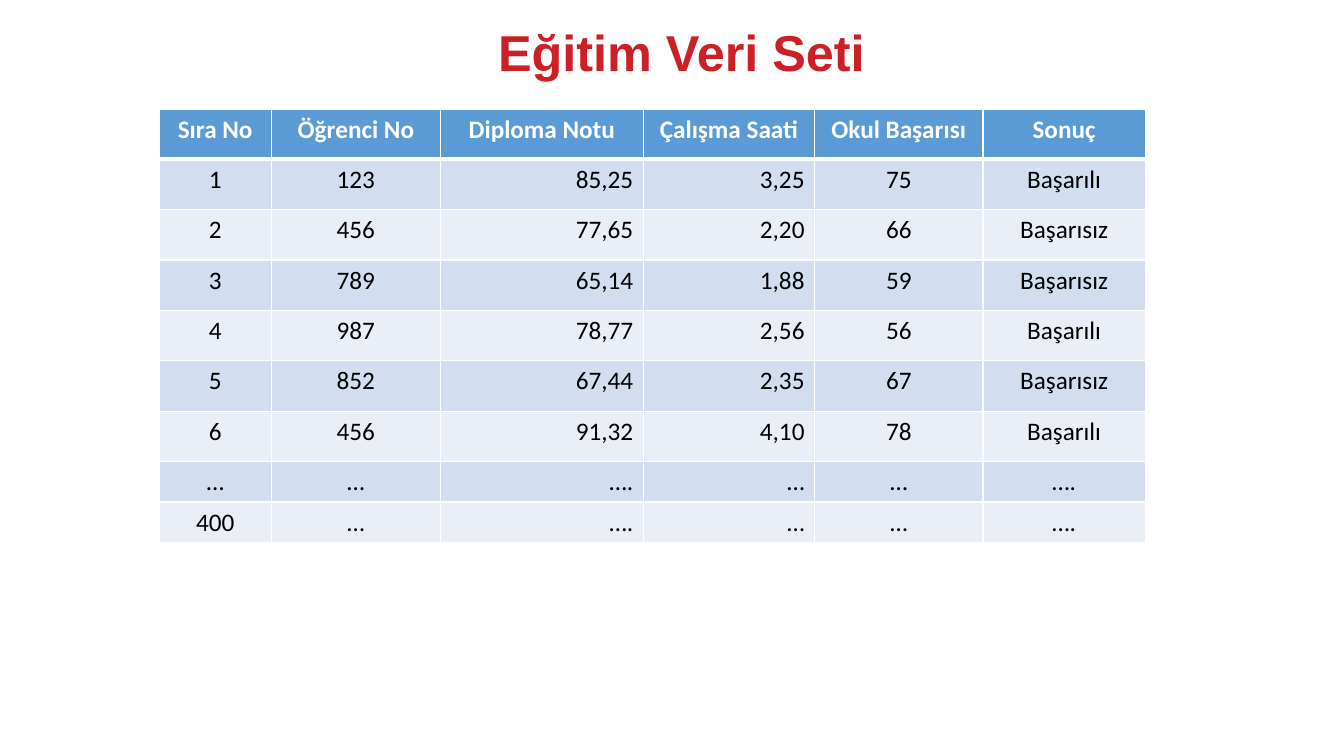
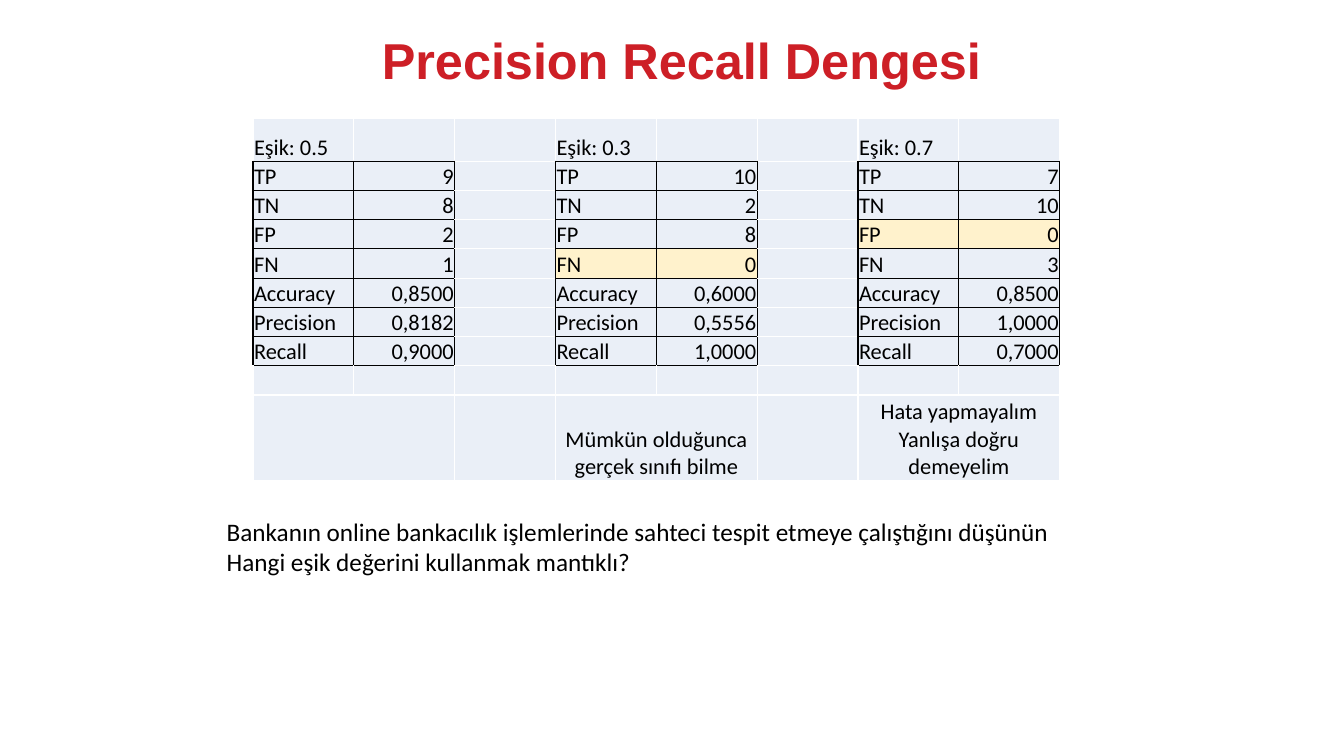
"""Build two slides: a training data table and a precision-recall comparison."""
from lxml.etree import SubElement
from pptx import Presentation
from pptx.dml.color import RGBColor
from pptx.enum.text import MSO_ANCHOR as ANCHOR, PP_ALIGN as ALIGN
from pptx.oxml.ns import qn
from pptx.util import Inches, Pt


class Theme:
    HEAD_FONT, BODY_FONT = "Arial", "Calibri"
    TITLE, BODY, SMALL = 36, 18, 16
    RED, BLACK, WHITE = "CD1F26", "000000", "FFFFFF"
    HEADER, BAND, PALE, MARK = "5B9BD5", "D2DEEF", "EAEFF7", "FFF2CC"
    THIN, THICK = 1, 3


LEFT, CENTER, RIGHT = ALIGN.LEFT, ALIGN.CENTER, ALIGN.RIGHT

DATA_TITLE = "Eğitim Veri Seti"
DATA_COLUMNS = [
    ("Sıra No", 1.11, CENTER),
    ("Öğrenci No", 1.68, CENTER),
    ("Diploma Notu", 2.01, RIGHT),
    ("Çalışma Saati", 1.7, RIGHT),
    ("Okul Başarısı", 1.67, CENTER),
    ("Sonuç", 1.61, CENTER),
]
STUDENTS = [
    ("1", "123", "85,25", "3,25", "75", "Başarılı"),
    ("2", "456", "77,65", "2,20", "66", "Başarısız"),
    ("3", "789", "65,14", "1,88", "59", "Başarısız"),
    ("4", "987", "78,77", "2,56", "56", "Başarılı"),
    ("5", "852", "67,44", "2,35", "67", "Başarısız"),
    ("6", "456", "91,32", "4,10", "78", "Başarılı"),
    ("…", "…", "….", "…", "…", "…."),
    ("400", "…", "….", "…", "…", "…."),
]
DATA_HEIGHTS = [0.49] + [0.5] * 6 + [0.4] * 2

BALANCE_TITLE = "Precision Recall Dengesi"
METRICS = ["TP", "TN", "FP", "FN", "Accuracy", "Precision", "Recall"]
THRESHOLDS = [
    {"name": "Eşik: 0.5", "mark": None, "note": "",
     "values": ["9", "8", "2", "1", "0,8500", "0,8182", "0,9000"]},
    {"name": "Eşik: 0.3", "mark": "FN",
     "note": "Mümkün olduğunca\ngerçek sınıfı bilme",
     "values": ["10", "2", "8", "0", "0,6000", "0,5556", "1,0000"]},
    {"name": "Eşik: 0.7", "mark": "FP",
     "note": "Hata yapmayalım\nYanlışa doğru demeyelim",
     "values": ["7", "10", "0", "3", "0,8500", "1,0000", "0,7000"]},
]
BALANCE_HEIGHTS = [0.43] + [0.29] * (len(METRICS) + 1) + [0.85]
QUESTION = [
    "Bankanın online bankacılık işlemlerinde sahteci tespit etmeye çalıştığını düşünün",
    "Hangi eşik değerini kullanmak mantıklı?",
]


def write(p, text, size=Theme.BODY, font=Theme.BODY_FONT, color=Theme.BLACK,
          bold=False, align=LEFT, spacing=None):
    p.alignment = align
    if spacing:
        p.line_spacing = spacing
    if not text:
        SubElement(p._p, qn("a:endParaRPr"), sz=str(size * 100))
        return
    for i, line in enumerate(text.split("\n")):
        if i:
            p.add_line_break()
        r = p.add_run()
        r.text = line
        r.font.size, r.font.name, r.font.bold = Pt(size), font, bold
        r.font.color.rgb = RGBColor.from_string(color)


def add_text(slide, box, paragraphs, **fmt):
    tf = slide.shapes.add_textbox(*map(Inches, box)).text_frame
    tf.word_wrap = True
    for i, text in enumerate(paragraphs):
        write(tf.add_paragraph() if i else tf.paragraphs[0], text, **fmt)


def add_slide(prs, title, top):
    slide = prs.slides.add_slide(prs.slide_layouts[6])
    add_text(slide, (2.15, top, 9.22, 0.65), [title], size=Theme.TITLE,
             font=Theme.HEAD_FONT, color=Theme.RED, bold=True, align=CENTER, spacing=0.9)
    return slide


def add_grid(slide, left, top, widths, heights):
    box = map(Inches, (left, top, sum(widths), sum(heights)))
    table = slide.shapes.add_table(len(heights), len(widths), *box).table
    table.first_row = table.horz_banding = False
    for column, width in zip(table.columns, widths):
        column.width = Inches(width)
    for row, height in zip(table.rows, heights):
        row.height = Inches(height)
    return table


def style_cell(cell, fill, borders):
    tc_pr = cell._tc.get_or_add_tcPr()
    for side in "LRTB":
        color, width = borders.get(side, (Theme.WHITE, Theme.THIN))
        ln = SubElement(tc_pr, qn(f"a:ln{side}"), w=str(Pt(width)))
        SubElement(SubElement(ln, qn("a:solidFill")), qn("a:srgbClr"), val=color)
    cell.fill.solid()
    cell.fill.fore_color.rgb = RGBColor.from_string(fill)


def add_data_table(slide):
    names, widths, aligns = zip(*DATA_COLUMNS)
    table = add_grid(slide, 1.58, 1.09, widths, DATA_HEIGHTS)
    rule = (Theme.WHITE, Theme.THICK)
    for row, texts in enumerate([names] + STUDENTS):
        header = row == 0
        fill = Theme.HEADER if header else Theme.BAND if row % 2 else Theme.PALE
        borders = {0: {"B": rule}, 1: {"T": rule}}.get(row, {})
        for col, text in enumerate(texts):
            cell = table.cell(row, col)
            style_cell(cell, fill, borders)
            write(cell.text_frame.paragraphs[0], text, bold=header,
                  color=Theme.WHITE if header else Theme.BLACK,
                  align=CENTER if header else aligns[col])


def is_metric(row, col):
    return 1 <= row <= len(METRICS) and 0 <= col < 8 and col % 3 != 2


def balance_cell(row, col):
    """Return the text, alignment and fill of one cell."""
    threshold, part = THRESHOLDS[col // 3], col % 3
    if is_metric(row, col):
        metric = METRICS[row - 1]
        fill = Theme.MARK if metric == threshold["mark"] else Theme.PALE
        if part:
            return threshold["values"][row - 1], RIGHT, fill
        return metric, LEFT, fill
    if part == 0 and row == 0:
        return threshold["name"], LEFT, Theme.PALE
    if part == 0 and row == len(BALANCE_HEIGHTS) - 1:
        return threshold["note"], CENTER, Theme.PALE
    return "", LEFT, Theme.PALE


def add_balance_table(slide):
    widths = [1] * (3 * len(THRESHOLDS) - 1)
    table = add_grid(slide, 2.51, 1.17, widths, BALANCE_HEIGHTS)
    steps = {"L": (0, -1), "R": (0, 1), "T": (-1, 0), "B": (1, 0)}
    last = len(BALANCE_HEIGHTS) - 1
    for row in range(last + 1):
        for col in range(len(widths)):
            cell = table.cell(row, col)
            text, align, fill = balance_cell(row, col)
            borders = {side: (Theme.BLACK, Theme.THIN) for side, (dr, dc) in steps.items()
                       if is_metric(row, col) or is_metric(row + dr, col + dc)}
            style_cell(cell, fill, borders)
            cell.margin_left = cell.margin_right = cell.margin_top = Inches(0.01)
            cell.margin_bottom = 0
            cell.vertical_anchor = ANCHOR.BOTTOM
            write(cell.text_frame.paragraphs[0], text, size=Theme.SMALL, align=align)
    for col in range(0, len(widths), 3):
        table.cell(last, col).merge(table.cell(last, col + 1))


def main():
    prs = Presentation()
    prs.slide_width, prs.slide_height = Inches(13.33), Inches(7.5)
    add_data_table(add_slide(prs, DATA_TITLE, 0.23))
    slide = add_slide(prs, BALANCE_TITLE, 0.31)
    add_balance_table(slide)
    add_text(slide, (2.15, 5.07, 8.45, 0.71), QUESTION)
    prs.save("out.pptx")


if __name__ == "__main__":
    main()
